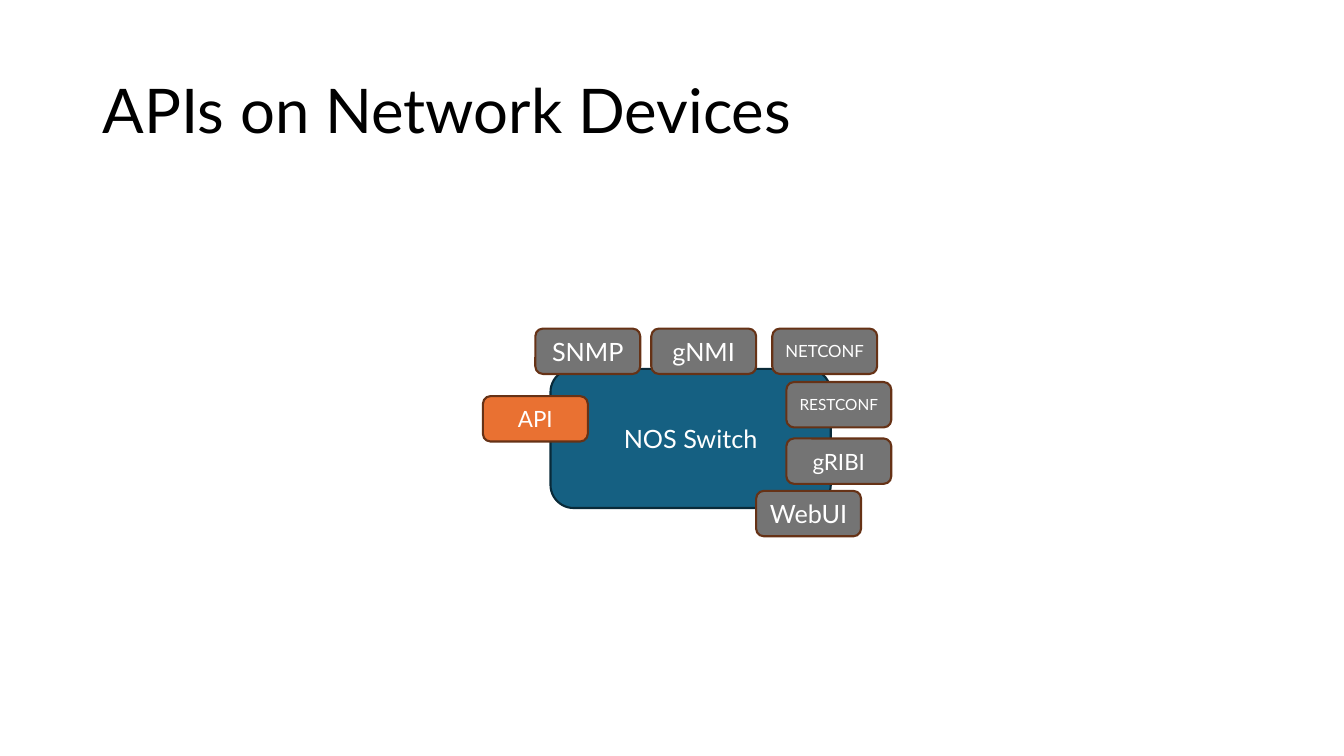
import dataclasses
import pptx
import pptx.dml.color
import pptx.enum.shapes
import pptx.enum.text
import pptx.util

ROUND = pptx.enum.shapes.MSO_SHAPE.ROUNDED_RECTANGLE
ALIGN = pptx.enum.text.PP_ALIGN
MIDDLE = pptx.enum.text.MSO_ANCHOR.MIDDLE


@dataclasses.dataclass(frozen=True)
class Theme:
    font: str = "Lato"
    ink: str = "000000"
    light: str = "FFFFFF"
    blue: str = "156082"
    navy: str = "092A39"
    gray: str = "747474"
    orange: str = "E97132"
    brown: str = "663216"
    title: int = 44
    large: int = 18
    mid: int = 16
    small: int = 12
    tiny: int = 11
    line: float = 1.5


THEME = Theme()
TAG_W, TAG_H = 104, 45
TAGS = [
    ("WebUI", 204, 121, THEME.large, THEME.gray),
    ("SNMP", -15, -40, THEME.large, THEME.gray),
    ("gNMI", 100, -40, THEME.large, THEME.gray),
    ("NETCONF", 220, -40, THEME.small, THEME.gray),
    ("RESTCONF", 234, 13, THEME.tiny, THEME.gray),
    ("gRIBI", 234, 69, THEME.mid, THEME.gray),
    ("API", -67, 27, THEME.mid, THEME.orange),
]


def px(count):
    return pptx.util.Emu(count * 9144)


def color(code):
    return pptx.dml.color.RGBColor.from_string(code)


def write(shape, text, size=THEME.large, ink=THEME.light, align=ALIGN.CENTER, lead=1.0):
    frame = shape.text_frame
    frame.word_wrap = True
    frame.vertical_anchor = MIDDLE
    para = frame.paragraphs[0]
    para.alignment = align
    para.line_spacing = lead
    run = para.add_run()
    run.text = text
    run.font.name = THEME.font
    run.font.size = pptx.util.Pt(size)
    run.font.color.rgb = color(ink)


def block(slide, box, text, fill, edge, size=THEME.large):
    shape = slide.shapes.add_shape(ROUND, *map(px, box))
    shape.shadow.inherit = False
    shape.fill.solid()
    shape.fill.fore_color.rgb = color(fill)
    shape.line.color.rgb = color(edge)
    shape.line.width = pptx.util.Pt(THEME.line)
    write(shape, text, size=size)


def title(slide, box, text):
    shape = slide.shapes.add_textbox(*map(px, box))
    write(shape, text, size=THEME.title, ink=THEME.ink, align=ALIGN.LEFT, lead=0.9)


def device(slide, box):
    left, top = box[:2]
    block(slide, box, "NOS Switch", THEME.blue, THEME.navy)
    for text, x, y, size, fill in TAGS:
        place = (left + x, top + y, TAG_W, TAG_H)
        block(slide, place, text, fill, THEME.brown, size=size)


def main():
    deck = pptx.Presentation()
    deck.slide_width = px(1333)
    deck.slide_height = px(750)
    slide = deck.slides.add_slide(deck.slide_layouts[6])
    title(slide, (92, 40, 1150, 145), "APIs on Network Devices")
    device(slide, (546, 366, 278, 138))
    deck.save("out.pptx")


if __name__ == "__main__":
    main()
